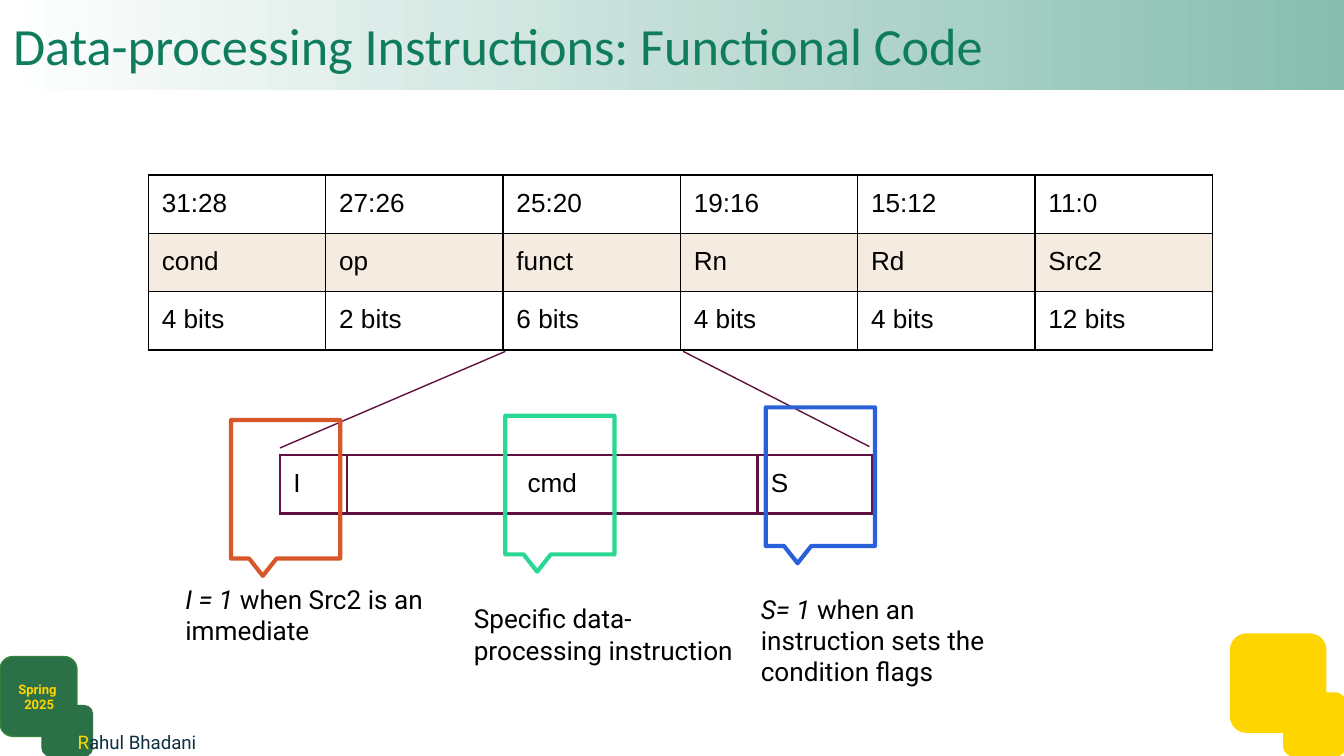
from lxml.etree import SubElement
from pptx import Presentation
from pptx.dml.color import RGBColor
from pptx.enum.shapes import MSO_CONNECTOR, MSO_SHAPE as Shape
from pptx.enum.text import MSO_ANCHOR as Anchor, PP_ALIGN as Align
from pptx.oxml.ns import qn
from pptx.util import Emu, Pt

PX = 9525  # 96 px to the inch
INSET = 0.1 * 914400
COLORS = {
    "white": "FFFFFF", "black": "000000", "yellow": "FFD500", "navy": "0E3042",
    "badge": "2C7048", "badge_edge": "34863E", "title": "0F7D5D", "mint": "87BEAE",
    "cream": "F5EBE0", "plum": "5F0F40",
    "orange": "D8572A", "blue": "2A61D8", "green": "2AD894",
}
BODY = {"name": "Roboto", "size": Pt(14)}
CELL = {"name": "Arial", "size": Pt(14)}


def px(*lengths):
    return [Emu(round(length * PX)) for length in lengths]


def rgb(color):
    return RGBColor.from_string(COLORS[color])


def write(frame, paragraphs, style, align=Align.LEFT):
    """Fill a text frame; each paragraph is a list of (text, color, italic) runs."""
    settings = {"word_wrap": True, "vertical_anchor": Anchor.TOP}
    for side in ("left", "right", "top", "bottom"):
        settings[f"margin_{side}"] = Emu(round(INSET))
    for key, value in settings.items():
        setattr(frame, key, value)
    for index, runs in enumerate(paragraphs):
        paragraph = frame.add_paragraph() if index else frame.paragraphs[0]
        paragraph.alignment = align
        for text, color, italic in runs:
            run = paragraph.add_run()
            run.text = text
            for key, value in {**style, "italic": italic}.items():
                setattr(run.font, key, value)
            run.font.color.rgb = rgb(color)


def add_text(slide, box, paragraphs, style, align=Align.LEFT):
    frame = slide.shapes.add_textbox(*px(*box)).text_frame
    write(frame, paragraphs, style, align)


def add_outline(slide, kind, box, edge, weight, fill=None):
    shape = slide.shapes.add_shape(kind, *px(*box))
    shape.shadow.inherit = False
    if fill:
        shape.fill.solid()
        shape.fill.fore_color.rgb = rgb(fill)
    else:
        shape.fill.background()
    shape.line.color.rgb = rgb(edge)
    shape.line.width = Pt(weight)
    return shape


def add_corner(slide, blocks):
    for box, fill, edge in blocks:
        add_outline(slide, Shape.FLOWCHART_ALTERNATE_PROCESS, box, edge, 0.75, fill)


def add_footer(slide, left, top):
    add_corner(slide, [((left, top, 55, 57), "badge", "badge_edge"),
                       ((left + 30, top + 35, 36, 36), "badge", "badge")])
    add_text(slide, (left + 46, top + 45, 119, 28),
             [[("R", "yellow", False), ("ahul Bhadani", "navy", False)]],
             {"name": "Roboto", "size": Pt(10)})
    add_text(slide, (left, top + 8, 56, 28),
             [[("Spring ", "yellow", False)], [("2025", "yellow", False)]],
             {"name": "Roboto", "size": Pt(7), "bold": True}, Align.CENTER)


def add_title(slide, box, text):
    banner = slide.shapes.add_shape(Shape.RECTANGLE, *px(*box))
    banner.shadow.inherit = False
    banner.line.fill.background()
    banner.fill.gradient()
    banner.fill.gradient_angle = 0
    for stop, color in zip(banner.fill.gradient_stops, ("white", "mint")):
        stop.color.rgb = rgb(color)
    write(banner.text_frame, [[(text, "title", False)]],
          {"name": "Calibri", "size": Pt(28)})
    banner.text_frame.vertical_anchor = Anchor.MIDDLE


def set_borders(cell, color, weight):
    """Draw all four edges; they must precede the fill in the cell's XML."""
    properties = cell._tc.get_or_add_tcPr()
    for index, edge in enumerate(("a:lnL", "a:lnR", "a:lnT", "a:lnB")):
        line = SubElement(properties, qn(edge), w=str(Pt(weight)))
        fill = SubElement(line, qn("a:solidFill"))
        SubElement(fill, qn("a:srgbClr"), val=COLORS[color])
        properties.insert(index, line)


def add_bit_table(slide, left, top, widths, row_height, rows, edge, weight,
                  row_fills=None, centered=()):
    box = px(left, top, sum(widths), row_height * len(rows))
    table = slide.shapes.add_table(len(rows), len(widths), *box).table
    table.first_row = table.horz_banding = False
    for column, width in zip(table.columns, px(*widths)):
        column.width = width
    for r, texts in enumerate(rows):
        for c, text in enumerate(texts):
            cell = table.cell(r, c)
            if row_fills and r in row_fills:
                cell.fill.solid()
                cell.fill.fore_color.rgb = rgb(row_fills[r])
            else:
                cell.fill.background()
            set_borders(cell, edge, weight)
            write(cell.text_frame, [[(text, "black", False)]], CELL,
                  Align.CENTER if c in centered else Align.LEFT)
            for side in ("left", "right", "top", "bottom"):
                setattr(cell, f"margin_{side}", Emu(round(INSET)))


def add_zoom_line(slide, start, end):
    line = slide.shapes.add_connector(MSO_CONNECTOR.STRAIGHT, *px(*start, *end))
    line.line.color.rgb = rgb("plum")
    line.line.width = Pt(0.75)
    SubElement(line._element.spPr, qn("a:effectLst"))


def add_callout(slide, left, top, color, note_at, note):
    """Frame one field and explain it in a note placed at its own corner."""
    callout = add_outline(slide, Shape.ROUNDED_RECTANGULAR_CALLOUT,
                          (left, top, 78, 99), color, 2.25)
    for index, value in enumerate((-0.208, 0.625, 0)):
        callout.adjustments[index] = value
    runs = [(text, "black", italic) for text, italic in note]
    add_text(slide, (*note_at, 205, 80), [runs], BODY)


def main():
    deck = Presentation()
    deck.slide_width, deck.slide_height = px(960, 540)
    slide = deck.slides.add_slide(deck.slide_layouts[6])

    add_corner(slide, [((879, 453, 68, 70), "yellow", "yellow"),
                       ((917, 495, 44, 45), "yellow", "yellow")])
    add_footer(slide, 0, 469)
    add_title(slide, (0, 0, 960, 64), "Data-processing Instructions: Functional Code")

    fields = [
        ("31:28", "27:26", "25:20", "19:16", "15:12", "11:0"),
        ("cond", "op", "funct", "Rn", "Rd", "Src2"),
        ("4 bits", "2 bits", "6 bits", "4 bits", "4 bits", "12 bits"),
    ]
    add_bit_table(slide, 106, 125, [760 / 6] * 6, 40, fields, "black", 0.75,
                  row_fills={1: "cream"})
    add_bit_table(slide, 200, 325, [48, 293, 82], 40, [("I", "cmd", "S")],
                  "plum", 1.5, centered=(1,))
    add_zoom_line(slide, (361, 251), (200, 320))
    add_zoom_line(slide, (488, 251), (621, 319))

    callouts = [
        (165, 300, "orange", (123, 407),
         [("I = 1", True), (" when Src2 is an immediate", False)]),
        (547, 291, "blue", (534, 414),
         [("S= 1", True), (" when an instruction sets the condition flags", False)]),
        (361, 297, "green", (329, 421),
         [("Specific data-processing instruction", False)]),
    ]
    for callout in callouts:
        add_callout(slide, *callout)
    deck.save("out.pptx")


if __name__ == "__main__":
    main()
